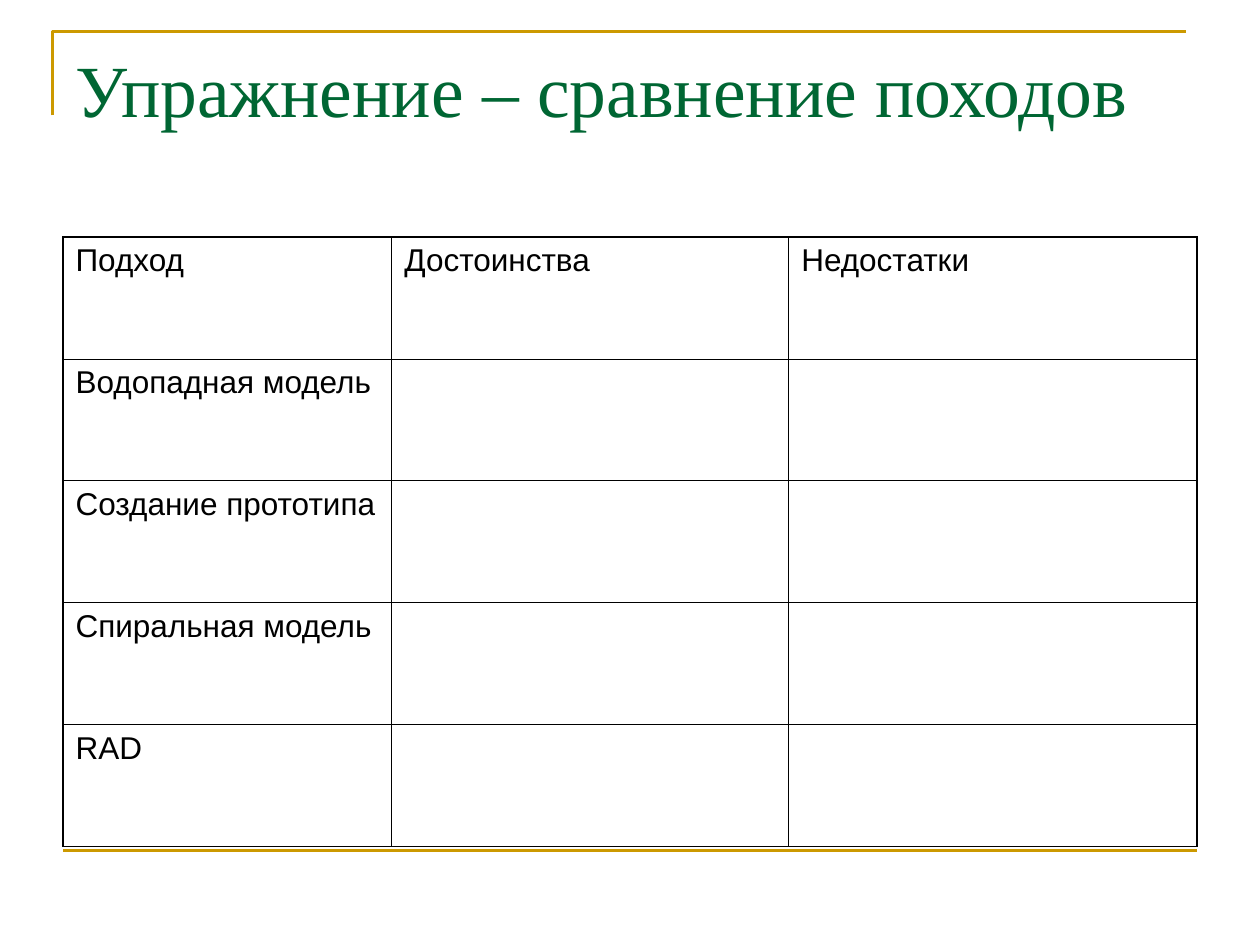
from lxml.etree import SubElement
from pptx import Presentation
from pptx.dml.color import RGBColor
from pptx.enum.shapes import MSO_CONNECTOR
from pptx.enum.text import MSO_ANCHOR, PP_ALIGN
from pptx.oxml.ns import qn
from pptx.util import Pt

TITLE = "Упражнение – сравнение походов"
HEADINGS = ["Подход", "Достоинства", "Недостатки"]
APPROACHES = ["Водопадная модель", "Создание прототипа", "Спиральная модель", "RAD"]
ROWS = [HEADINGS] + [[approach, "", ""] for approach in APPROACHES]
COLUMN_WIDTHS = [187.9, 226.8, 233.3]
ROW_HEIGHT = 69.7
LEFT, WIDTH, TABLE_TOP = 36, 648, 135.4
OUTER, INNER = 1.08, 0.45

GREEN = RGBColor(0x00, 0x66, 0x33)
GOLD = RGBColor(0xCC, 0x99, 0x00)
BLACK = RGBColor(0x00, 0x00, 0x00)


def style_text(paragraph, font_name, size, color):
    paragraph.alignment = PP_ALIGN.LEFT
    font = paragraph.font
    font.name, font.size, font.bold = font_name, Pt(size), False
    font.color.rgb = color


def style_rule(line):
    line.color.rgb = GOLD
    line.width = Pt(1.5)


def add_borders(cell, widths):
    properties = cell._tc.get_or_add_tcPr()
    for side, width in widths.items():
        border = SubElement(properties, qn(f"a:ln{side}"), w=str(Pt(width)))
        fill = SubElement(border, qn("a:solidFill"))
        SubElement(fill, qn("a:srgbClr"), val=str(BLACK))


deck = Presentation()
deck.slide_width, deck.slide_height = Pt(720), Pt(540)
slide = deck.slides.add_slide(deck.slide_layouts[5])
shapes = slide.shapes

outline = shapes.build_freeform(Pt(30), Pt(66))
outline.add_line_segments([(Pt(30), Pt(18)), (Pt(678), Pt(18))], close=False)
corner = outline.convert_to_shape()
corner.shadow.inherit = False
corner.fill.background()
style_rule(corner.line)

footer_rule = shapes.add_connector(
    MSO_CONNECTOR.STRAIGHT, Pt(LEFT), Pt(486), Pt(LEFT + WIDTH), Pt(486))
SubElement(footer_rule._element.spPr, qn("a:effectLst"))
style_rule(footer_rule.line)

title = shapes.title
title.left, title.top, title.width, title.height = Pt(LEFT), Pt(21.6), Pt(WIDTH), Pt(90)
title.text = TITLE
title.text_frame.vertical_anchor = MSO_ANCHOR.TOP
style_text(title.text_frame.paragraphs[0], "Times New Roman", 42, GREEN)

table = shapes.add_table(
    len(ROWS), len(HEADINGS), Pt(LEFT), Pt(TABLE_TOP),
    Pt(WIDTH), Pt(ROW_HEIGHT * len(ROWS))).table
table.first_row = table.horz_banding = False
for column, width in zip(table.columns, COLUMN_WIDTHS):
    column.width = Pt(width)

last_row, last_column = len(ROWS) - 1, len(HEADINGS) - 1
for r, row in enumerate(ROWS):
    table.rows[r].height = Pt(ROW_HEIGHT)
    for c, text in enumerate(row):
        cell = table.cell(r, c)
        cell.text = text
        style_text(cell.text_frame.paragraphs[0], "Arial", 18, BLACK)
        on_edge = {"L": c == 0, "R": c == last_column, "T": r == 0, "B": r == last_row}
        add_borders(cell, {side: OUTER if edge else INNER for side, edge in on_edge.items()})
        cell.fill.background()

deck.save("out.pptx")
